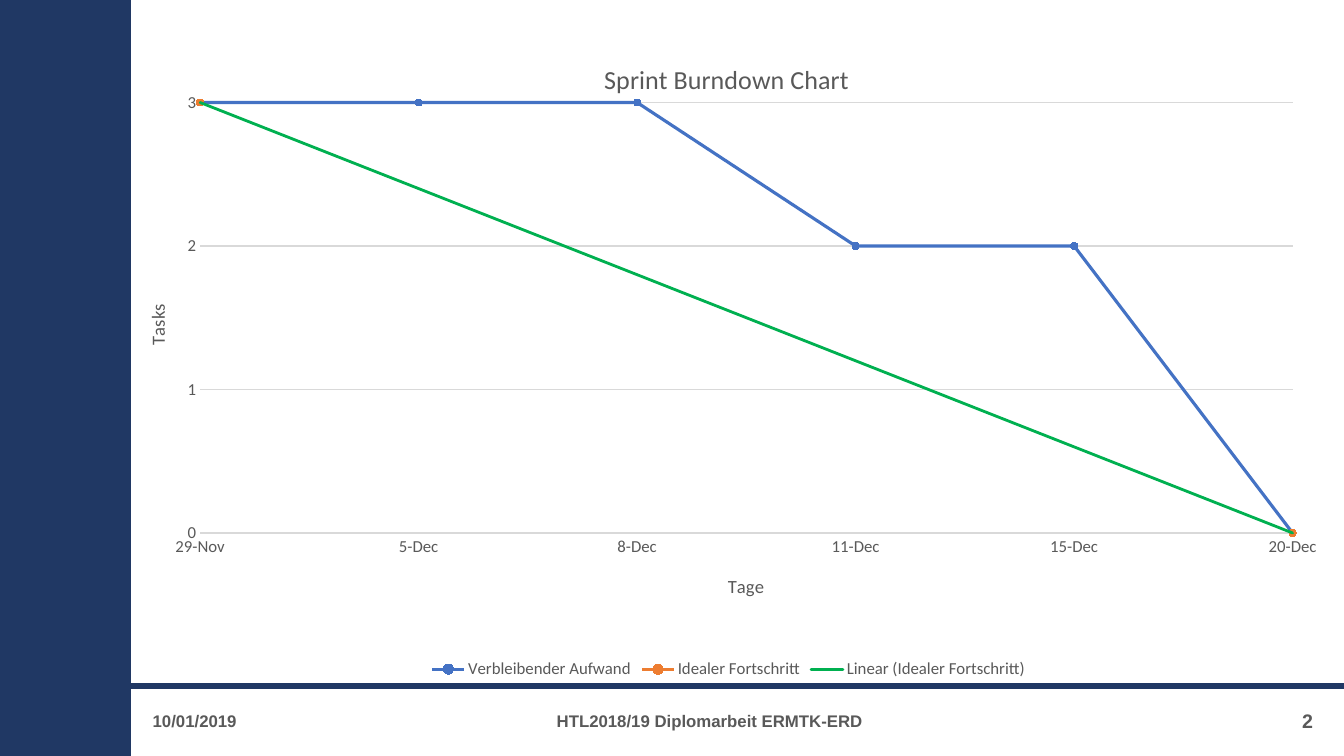
import pptx
import pptx.chart.data
import pptx.dml.color
import pptx.enum.chart
import pptx.enum.shapes
import pptx.enum.text
import pptx.oxml
import pptx.oxml.ns
import pptx.util

Pt = pptx.util.Pt
RGBColor = pptx.dml.color.RGBColor
ALIGN = pptx.enum.text.PP_ALIGN

NAVY = RGBColor(0x20, 0x38, 0x64)
GREY = RGBColor(0x59, 0x59, 0x59)
GRID = RGBColor(0xD9, 0xD9, 0xD9)
BLUE = RGBColor(0x44, 0x72, 0xC4)
ORANGE = RGBColor(0xED, 0x7D, 0x31)
GREEN = RGBColor(0x00, 0xB0, 0x50)

PAGE_WIDTH, PAGE_HEIGHT = 960, 540
SIDEBAR_WIDTH = 93
FOOTER_TOP = 488

DAYS = ["29-Nov", "5-Dec", "8-Dec", "11-Dec", "15-Dec", "20-Dec"]
SERIES = [
    ("Verbleibender Aufwand", [3, 3, 3, 2, 2, 0], BLUE),
    ("Idealer Fortschritt", [3, None, None, None, None, 0], ORANGE),
]


def format_font(font, size, name="Calibri", color=GREY, bold=False):
    font.size = Pt(size)
    font.name = name
    font.bold = bold
    font.color.rgb = color


def write_text(frame, text, align=None, **font_format):
    para = frame.paragraphs[0]
    para.alignment = align
    span = para.add_run()
    span.text = text
    format_font(span.font, **font_format)


def add_bar(page, left, top, width, height):
    bar = page.shapes.add_shape(
        pptx.enum.shapes.MSO_SHAPE.RECTANGLE,
        Pt(left), Pt(top), Pt(width), Pt(height))
    bar.shadow.inherit = False
    bar.fill.solid()
    bar.fill.fore_color.rgb = NAVY
    bar.line.color.rgb = NAVY
    bar.line.width = Pt(1)


def chart_xml(markup):
    namespace = pptx.oxml.ns.nsdecls("c", "a")
    return pptx.oxml.parse_xml(markup.replace(">", f" {namespace}>", 1))


def set_layout(element, index, target="", **fractions):
    """Place a chart part by fractions of the chart's size."""
    for old in element.findall(pptx.oxml.ns.qn("c:layout")):
        element.remove(old)
    modes = "".join(f'<c:{key}Mode val="edge"/>' for key in "xy")
    values = "".join(f'<c:{key} val="{value}"/>' for key, value in fractions.items())
    element.insert(index, chart_xml(
        f"<c:layout><c:manualLayout>{target}{modes}{values}"
        "</c:manualLayout></c:layout>"))


def add_trend(series):
    trend = chart_xml(
        '<c:trendline><c:spPr><a:ln w="25400" cap="rnd"><a:solidFill>'
        f'<a:srgbClr val="{GREEN}"/></a:solidFill></a:ln></c:spPr>'
        '<c:trendlineType val="linear"/><c:dispRSqr val="0"/>'
        '<c:dispEq val="0"/></c:trendline>')
    series._element.find(pptx.oxml.ns.qn("c:cat")).addprevious(trend)


def start_on_axis(axis):
    """Let the first point sit on the value axis."""
    crossing = chart_xml('<c:crossBetween></c:crossBetween>')
    crossing.set("val", "midCat")
    axis._element.find(pptx.oxml.ns.qn("c:majorUnit")).addprevious(crossing)


def format_axis(axis, title):
    write_text(axis.axis_title.text_frame, title, size=13.3)
    format_font(axis.tick_labels.font, 12)
    axis.major_tick_mark = pptx.enum.chart.XL_TICK_MARK.NONE
    axis.minor_tick_mark = pptx.enum.chart.XL_TICK_MARK.NONE


def build_burndown(page, left, top, width, height):
    data = pptx.chart.data.CategoryChartData()
    data.categories = DAYS
    for name, values, _ in SERIES:
        data.add_series(name, values)
    chart = page.shapes.add_chart(
        pptx.enum.chart.XL_CHART_TYPE.LINE_MARKERS,
        Pt(left), Pt(top), Pt(width), Pt(height), data).chart
    format_font(chart.font, 12)

    # Title and legend
    chart.has_title = True
    write_text(chart.chart_title.text_frame, "Sprint Burndown Chart", size=18.6)
    set_layout(chart.chart_title._element, 1, x=0.39, y=0.04)
    chart.has_legend = True
    chart.legend.position = pptx.enum.chart.XL_LEGEND_POSITION.BOTTOM
    chart.legend.include_in_layout = False
    format_font(chart.legend.font, 12)

    # Axes
    days, tasks = chart.category_axis, chart.value_axis
    format_axis(days, "Tage")
    days.format.line.color.rgb = GRID
    days.format.line.width = Pt(0.75)
    format_axis(tasks, "Tasks")
    tasks.format.line.fill.background()
    tasks.minimum_scale, tasks.maximum_scale, tasks.major_unit = 0, 3, 1
    tasks.tick_labels.number_format = "General"
    tasks.tick_labels.number_format_is_linked = False
    tasks.major_gridlines.format.line.color.rgb = GRID
    tasks.major_gridlines.format.line.width = Pt(0.75)
    start_on_axis(tasks)

    # Plot area and series
    plot = chart.plots[0]
    plot.vary_by_categories = False
    set_layout(plot._element.getparent(), 0, '<c:layoutTarget val="inner"/>',
               x=0.05, y=0.11, w=0.93, h=0.66)
    for series, (_, _, color) in zip(plot.series, SERIES):
        series.smooth = False
        series.format.line.color.rgb = color
        series.format.line.width = Pt(2.25)
        marker = series.marker
        marker.style = pptx.enum.chart.XL_MARKER_STYLE.CIRCLE
        marker.size = 5
        marker.format.fill.solid()
        marker.format.fill.fore_color.rgb = color
        marker.format.line.color.rgb = color
    add_trend(plot.series[1])


def build_footer(page, left, top, width):
    # Rule, then date, project and page number
    add_bar(page, left, top, width, 4)
    fields = [
        ("10/01/2019", 9, 216, ALIGN.LEFT, 12),
        ("HTL2018/19 Diplomarbeit ERMTK-ERD", 252, 324, ALIGN.CENTER, 12),
        ("2", 636, 216, ALIGN.RIGHT, 14),
    ]
    for text, offset, field_width, align, size in fields:
        box = page.shapes.add_textbox(
            Pt(left + offset), Pt(top + 12.5), Pt(field_width), Pt(29))
        frame = box.text_frame
        frame.word_wrap = True
        frame.vertical_anchor = pptx.enum.text.MSO_ANCHOR.MIDDLE
        write_text(frame, text, align, size=size, name="Arial", bold=True)


def main():
    deck = pptx.Presentation()
    deck.slide_width, deck.slide_height = Pt(PAGE_WIDTH), Pt(PAGE_HEIGHT)
    page = deck.slides.add_slide(deck.slide_layouts[6])
    # Sidebar
    add_bar(page, 0, 0, SIDEBAR_WIDTH, PAGE_HEIGHT)
    build_footer(page, SIDEBAR_WIDTH, FOOTER_TOP, PAGE_WIDTH - SIDEBAR_WIDTH)
    build_burndown(page, 101, 22, 839.5, 466)
    deck.save("out.pptx")


if __name__ == "__main__":
    main()
